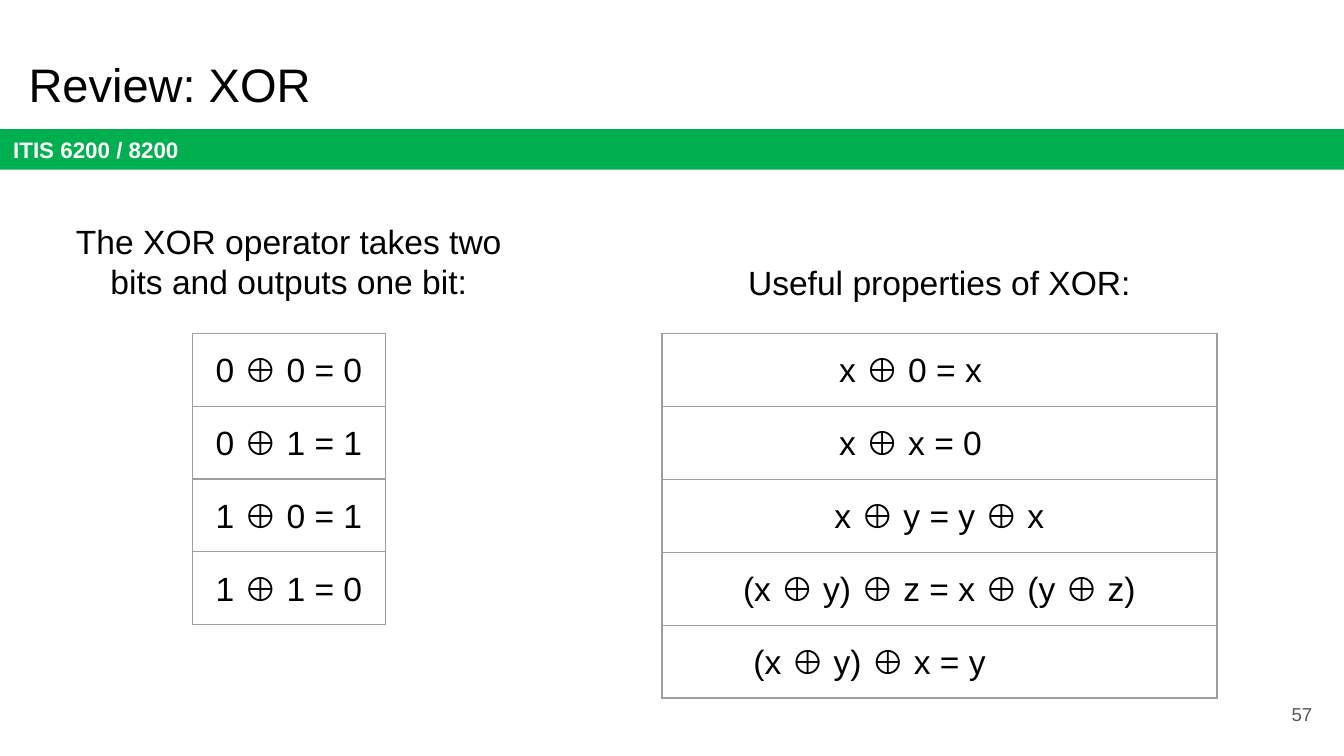
from lxml.etree import SubElement
from pptx import Presentation
from pptx.dml.color import RGBColor
from pptx.enum.shapes import MSO_SHAPE
from pptx.enum.text import MSO_ANCHOR, PP_ALIGN
from pptx.oxml.ns import qn
from pptx.util import Cm, Pt

BLACK, WHITE, GREEN = "000000", "FFFFFF", "00B050"
GREY_TEXT, GREY_BORDER = "595959", "9E9E9E"
INSET = Cm(0.25)

TRUTH_TABLE = [(f"{a} ⊕ {b} = {a ^ b}", None) for a in (0, 1) for b in (0, 1)]
# Each property comes with its left indent in cm; None means centred.
PROPERTIES = [
    ("x ⊕ 0 = x", 3.1),
    ("x ⊕ x = 0", 3.1),
    ("x ⊕ y = y ⊕ x", None),
    ("(x ⊕ y) ⊕ z = x ⊕ (y ⊕ z)", None),
    ("(x ⊕ y) ⊕ x = y", 1.48),
]


def rgb(hex_color):
    return RGBColor.from_string(hex_color)


def set_insets(box):
    """Give a text frame or a table cell the same margin on all sides."""
    box.margin_left = box.margin_right = INSET
    box.margin_top = box.margin_bottom = INSET


def write(frame, text, size, color=BLACK, align=PP_ALIGN.LEFT, bold=False):
    """Fill a text frame with one formatted paragraph and return it."""
    paragraph = frame.paragraphs[0]
    paragraph.text = text
    paragraph.alignment = align
    font = paragraph.runs[0].font
    font.name, font.size, font.bold = "Arial", Pt(size), bold
    font.color.rgb = rgb(color)
    return paragraph


def add_label(slide, left, top, width, height, text, size,
              anchor=MSO_ANCHOR.TOP, **style):
    label = slide.shapes.add_textbox(Cm(left), Cm(top), Cm(width), Cm(height))
    frame = label.text_frame
    frame.word_wrap = True
    frame.vertical_anchor = anchor
    set_insets(frame)
    write(frame, text, size, **style)


def add_course_bar(slide, text):
    bar = slide.shapes.add_shape(
        MSO_SHAPE.RECTANGLE, Cm(0), Cm(2.44), Cm(25.4), Cm(0.77))
    bar.shadow.inherit = False
    bar.fill.solid()
    bar.fill.fore_color.rgb = rgb(GREEN)
    bar.line.fill.background()
    frame = bar.text_frame
    frame.vertical_anchor = MSO_ANCHOR.MIDDLE
    set_insets(frame)
    write(frame, text, 12, WHITE, bold=True)


def add_borders(cell):
    properties = cell._tc.get_or_add_tcPr()
    for side in ("a:lnL", "a:lnR", "a:lnT", "a:lnB"):
        line = SubElement(properties, qn(side), w=str(Pt(0.75)))
        fill = SubElement(line, qn("a:solidFill"))
        SubElement(fill, qn("a:srgbClr"), val=GREY_BORDER)


def add_formula_table(slide, left, width, row_height, formulas):
    table = slide.shapes.add_table(
        len(formulas), 1, Cm(left), Cm(6.3), Cm(width),
        Cm(row_height * len(formulas))).table
    table.first_row = table.horz_banding = False
    for row, (formula, indent) in enumerate(formulas):
        table.rows[row].height = Cm(row_height)
        cell = table.cell(row, 0)
        set_insets(cell)
        add_borders(cell)
        cell.fill.background()
        align = PP_ALIGN.CENTER if indent is None else PP_ALIGN.LEFT
        paragraph = write(cell.text_frame, formula, 18, align=align)
        paragraph.line_spacing = 1.15
        paragraph.space_after = Pt(12)
        if indent is not None:
            paragraph._p.get_or_add_pPr().set("marL", str(Cm(indent)))


def main():
    presentation = Presentation()
    presentation.slide_width = Cm(25.4)
    presentation.slide_height = Cm(14.29)
    slide = presentation.slides.add_slide(presentation.slide_layouts[6])

    add_course_bar(slide, "ITIS 6200 / 8200")
    add_label(slide, 0.29, 0.76, 23.67, 1.6, "Review: XOR", 25.2,
              MSO_ANCHOR.BOTTOM)
    add_label(slide, 23.53, 12.95, 1.52, 1.09, "57", 10, MSO_ANCHOR.MIDDLE,
              color=GREY_TEXT, align=PP_ALIGN.RIGHT)

    add_label(slide, 0.91, 3.93, 9.1, 2.06,
              "The XOR operator takes two bits and outputs one bit:", 18,
              align=PP_ALIGN.CENTER)
    add_formula_table(slide, 3.64, 3.64, 1.32, TRUTH_TABLE)

    add_label(slide, 12.51, 4.7, 10.49, 1.28, "Useful properties of XOR:", 18,
              align=PP_ALIGN.CENTER)
    add_formula_table(slide, 12.51, 10.49, 1.38, PROPERTIES)

    presentation.save("out.pptx")


if __name__ == "__main__":
    main()
